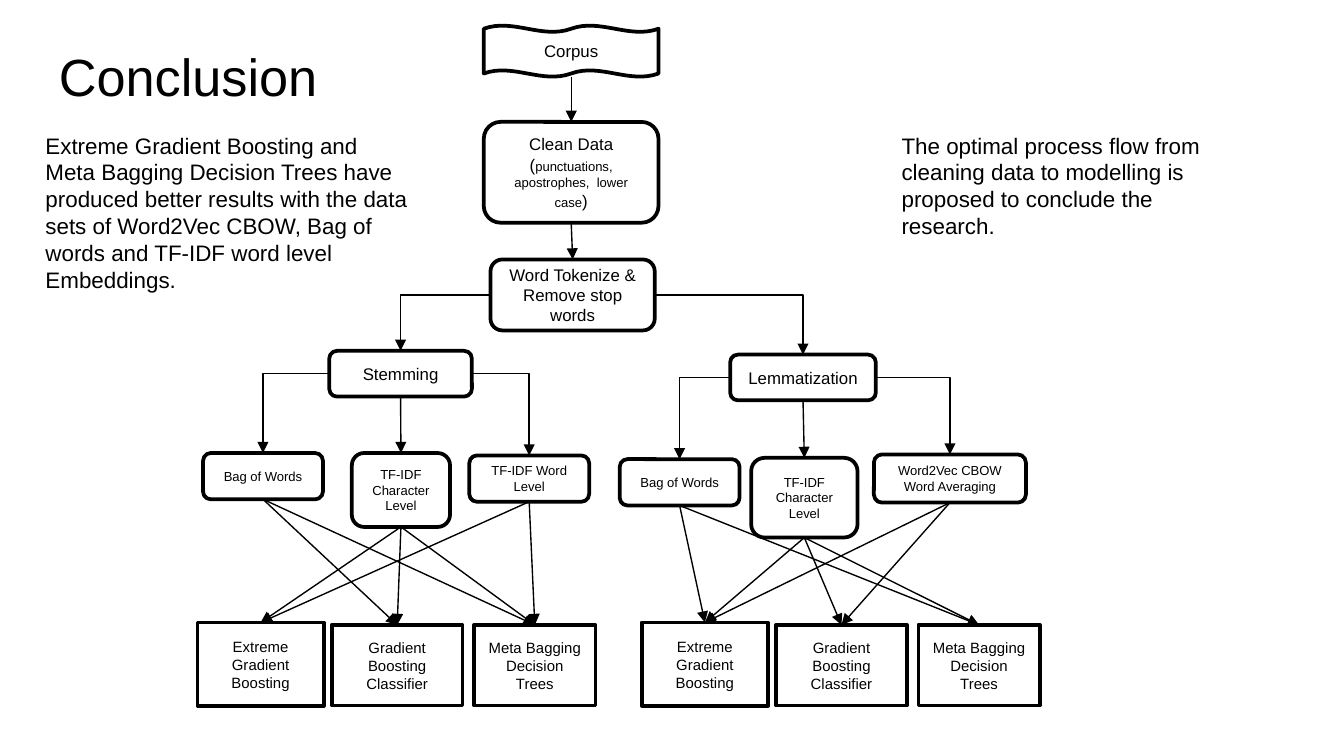
"""Build the conclusion slide with its text-modelling process flow."""
from dataclasses import dataclass

from lxml.etree import SubElement
from pptx import Presentation
from pptx.dml.color import RGBColor
from pptx.enum.shapes import MSO_CONNECTOR as LINK, MSO_SHAPE as SHAPE
from pptx.enum.text import MSO_ANCHOR as ANCHOR, PP_ALIGN as ALIGN
from pptx.oxml.ns import qn
from pptx.util import Pt


@dataclass(frozen=True)
class Theme:
    font: str = "Arial"
    ink: RGBColor = RGBColor(0, 0, 0)
    paper: RGBColor = RGBColor(255, 255, 255)
    title: float = 28
    body: float = 12
    step: float = 9
    model: float = 8
    feature: float = 7
    border: float = 2
    arrow: float = 0.75


THEME = Theme()

TEXTS = [
    ("Conclusion", THEME.title, (24.5, 16.5, 671, 45), 7.2),
    ("Extreme Gradient Boosting and Meta Bagging Decision Trees have produced "
     "better results with the data sets of Word2Vec CBOW, Bag of words and "
     "TF-IDF word level Embeddings.", THEME.body, (17.3, 67, 208.8, 94.3), 3.6),
    ("The optimal process flow from cleaning data to modelling is proposed to "
     "conclude the research.", THEME.body, (475.9, 67, 190, 65.5), 3.6),
]

CLEAN_DATA = [
    [("Clean Data", THEME.step)],
    [("(", THEME.step),
     ("punctuations, apostrophes,  lower case", THEME.feature),
     (")", THEME.step)],
]

STEPS = {
    "corpus": ("Corpus", (259.2, 13.7, 93.6, 27.4), SHAPE.DOUBLE_WAVE),
    "clean": (CLEAN_DATA, (259.2, 65.3, 93.6, 54), SHAPE.ROUNDED_RECTANGLE),
    "tokenize": ("Word Tokenize & Remove stop words", (262.8, 139, 88, 38),
                 SHAPE.ROUNDED_RECTANGLE),
}

BRANCHES = [
    {
        "root": ("Stemming", (176.4, 188, 76.4, 24.5)),
        "features": [
            ("Bag of Words", (108.8, 242.7, 64.2, 24.8)),
            ("TF-IDF Character Level", (188.5, 242.7, 52.6, 39.6)),
            ("TF-IDF Word Level", (251.4, 244, 64.2, 24.8)),
        ],
        "models_left": 105.8,
        "tokenize_site": 1,
    },
    {
        "root": ("Lemmatization", (391.2, 190, 78, 24.5)),
        "features": [
            ("Bag of Words", (332, 246, 64.2, 24.8)),
            ("TF-IDF Character Level", (402.4, 245.3, 57, 42.7)),
            ("Word2Vec CBOW Word Averaging", (468.2, 243.5, 81.4, 25.8)),
        ],
        "models_left": 343.8,
        "tokenize_site": 3,
    },
]

MODELS = [
    ("Extreme Gradient Boosting", (0, 333.5, 67.7, 44.6)),
    ("Gradient Boosting Classifier", (72, 334.8, 70, 43.2)),
    ("Meta Bagging Decision Trees", (148.2, 334.8, 65, 43.2)),
]

FEEDS = [
    [(2, 0), (1, 0), (0, 1), (1, 1), (0, 2), (1, 2), (2, 2)],
    [(0, 0), (1, 0), (2, 0), (1, 1), (2, 1), (0, 2), (1, 2)],
]

TOP, LEFT, BOTTOM, RIGHT = range(4)

presentation = Presentation()
presentation.slide_width, presentation.slide_height = Pt(720), Pt(405)
slide = presentation.slides.add_slide(presentation.slide_layouts[6])


def set_all(target, values):
    for name, value in values.items():
        setattr(target, name, value)


def write(frame, paragraphs, align):
    for index, runs in enumerate(paragraphs):
        paragraph = frame.add_paragraph() if index else frame.paragraphs[0]
        paragraph.alignment = align
        for text, size in runs:
            run = paragraph.add_run()
            run.text = text
            set_all(run.font, {"size": Pt(size), "name": THEME.font})
            run.font.color.rgb = THEME.ink


def add_box(content, place, size=THEME.step, preset=SHAPE.ROUNDED_RECTANGLE):
    box = slide.shapes.add_shape(preset, *map(Pt, place))
    box.shadow.inherit = False
    box.fill.solid()
    box.fill.fore_color.rgb = THEME.paper
    box.line.color.rgb = THEME.ink
    box.line.width = Pt(THEME.border)
    set_all(box.text_frame, {"word_wrap": True, "vertical_anchor": ANCHOR.MIDDLE})
    paragraphs = [[(content, size)]] if isinstance(content, str) else content
    write(box.text_frame, paragraphs, ALIGN.CENTER)
    return box


def add_arrow(source, target, site=BOTTOM):
    bent = site != BOTTOM
    kind = LINK.ELBOW if bent else LINK.STRAIGHT
    arrow = slide.shapes.add_connector(kind, 0, 0, 0, 0)
    arrow.begin_connect(source, site)
    arrow.end_connect(target, TOP)
    arrow.line.color.rgb = THEME.ink
    arrow.line.width = Pt(THEME.arrow)
    properties = arrow.line._get_or_add_ln()
    SubElement(properties, qn("a:tailEnd"), type="triangle")
    outline = properties.getparent()
    SubElement(outline, qn("a:effectLst"))
    if bent:
        outline.find(qn("a:prstGeom")).set("prst", "bentConnector2")


def add_text(text, size, place, inset):
    frame = slide.shapes.add_textbox(*map(Pt, place)).text_frame
    set_all(frame, {"word_wrap": True, "margin_top": Pt(inset),
                    "margin_bottom": Pt(inset)})
    write(frame, [[(text, size)]], ALIGN.LEFT)


steps = {name: add_box(content, place, preset=preset)
         for name, (content, place, preset) in STEPS.items()}
add_arrow(steps["corpus"], steps["clean"])
add_arrow(steps["clean"], steps["tokenize"])

for branch, feeds in zip(BRANCHES, FEEDS):
    root = add_box(*branch["root"])
    features = [add_box(text, place, THEME.feature)
                for text, place in branch["features"]]
    models = [add_box(text, (branch["models_left"] + left, *rest),
                      THEME.model, SHAPE.RECTANGLE)
              for text, (left, *rest) in MODELS]
    add_arrow(steps["tokenize"], root, branch["tokenize_site"])
    for feature, site in zip(features, (LEFT, BOTTOM, RIGHT)):
        add_arrow(root, feature, site)
    for feature, model in feeds:
        add_arrow(features[feature], models[model])

for item in TEXTS:
    add_text(*item)

presentation.save("out.pptx")
